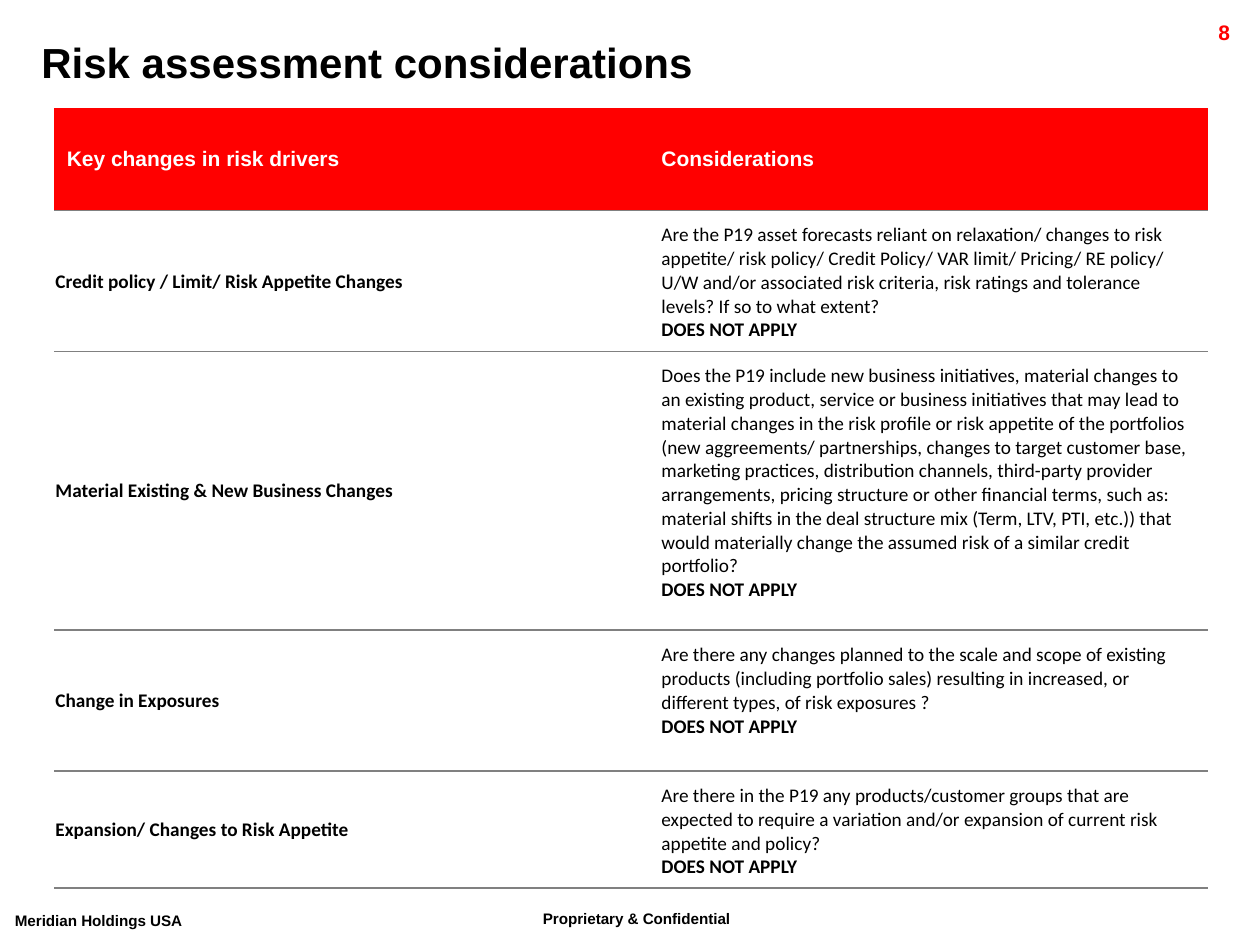
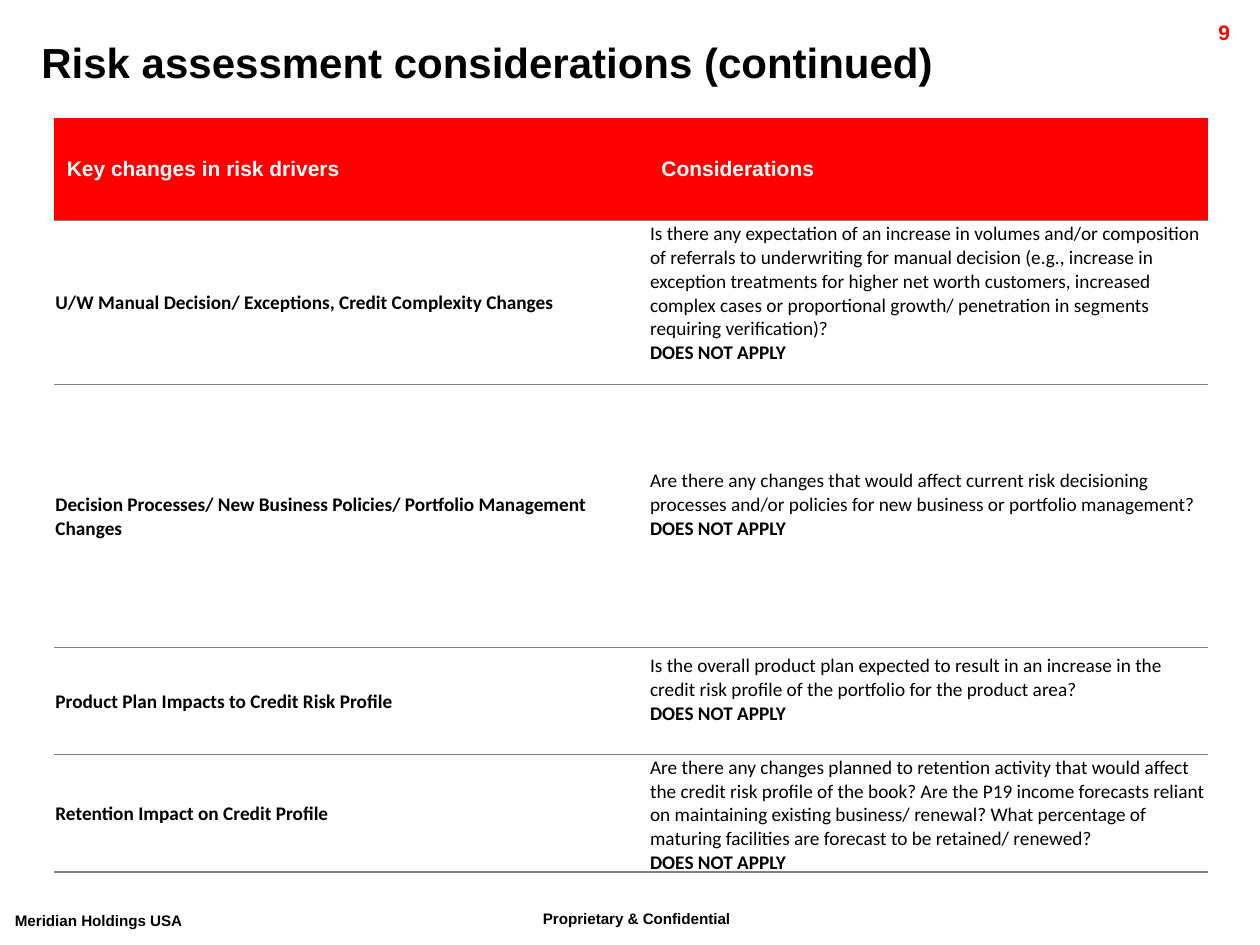
from lxml import etree
from pptx import Presentation
from pptx.dml.color import RGBColor
from pptx.enum import text
from pptx.oxml import ns
from pptx.util import Inches, Pt

COLORS = {"red": "FF0000", "black": "000000", "white": "FFFFFF", "rule": "808080"}
NO_STYLE = "{2D5ABB26-0587-4C30-8999-92F81FD0307C}"
COLUMNS = [4.72, 4.44]
HEADER_HEIGHT = 0.81
HEADINGS = ["Key changes in risk drivers", "Considerations"]
ANSWER = "DOES NOT APPLY"

# Each row: height, bottom margin of the question cell, driver, question
SLIDES = [
    dict(number="8", title="Risk assessment considerations", top=0.86, inset=0.1, rows=[
        (1.12, 0.07, "Credit policy / Limit/ Risk Appetite Changes",
         "Are the P19 asset forecasts reliant on relaxation/ changes to risk appetite/ risk policy/ "
         "Credit Policy/ VAR limit/ Pricing/ RE policy/ U/W and/or associated risk criteria, risk "
         "ratings and tolerance levels? If so to what extent?"),
        (2.21, 0.22, "Material Existing & New Business Changes",
         "Does the P19 include new business initiatives, material changes to an existing product, "
         "service or business initiatives that may lead to material changes in the risk profile or "
         "risk appetite of the portfolios (new aggreements/ partnerships, changes to target customer "
         "base, marketing practices, distribution channels, third-party provider arrangements, "
         "pricing structure or other financial terms, such as: material shifts in the deal structure "
         "mix (Term, LTV, PTI, etc.)) that would materially change the assumed risk of a similar "
         "credit portfolio?"),
        (1.12, 0.25, "Change in Exposures",
         "Are there any changes planned to the scale and scope of existing products (including "
         "portfolio sales) resulting in increased, or different types, of risk exposures ?"),
        (0.93, 0.07, "Expansion/ Changes to Risk Appetite",
         "Are there in the P19 any products/customer groups that are expected to require a variation "
         "and/or expansion of current risk appetite and policy?"),
    ]),
    dict(number="9", title="Risk assessment considerations (continued)", top=0.94, inset=0.01, rows=[
        (1.3, 0.15, "U/W Manual Decision/ Exceptions, Credit Complexity Changes",
         "Is there any expectation of an increase in volumes and/or composition of referrals to "
         "underwriting for manual decision (e.g., increase in exception treatments for higher net "
         "worth customers, increased complex cases or proportional growth/ penetration in segments "
         "requiring verification)?"),
        (2.09, 0.19, "Decision Processes/ New Business Policies/ Portfolio Management Changes",
         "Are there any changes that would affect current risk decisioning processes and/or policies "
         "for new business or portfolio management?"),
        (0.85, 0.19, "Product Plan Impacts to Credit Risk Profile",
         "Is the overall product plan expected to result in an increase in the credit risk profile "
         "of the portfolio for the product area?"),
        (0.93, 0, "Retention Impact on Credit Profile",
         "Are there any changes planned to retention activity that would affect the credit risk "
         "profile of the book? Are the P19 income forecasts reliant on maintaining existing "
         "business/ renewal? What percentage of maturing facilities are forecast to be retained/ "
         "renewed?"),
    ]),
]

# Text shared by all slides: place and format
FOOTERS = [
    ("Proprietary & Confidential", (4.21, 7.14, 2.18, 0.35), True),
    ("Meridian Holdings USA", (0.02, 7.16, 1.91, 0.35), False),
]


def write(p, words, size=11, font="Calibri", color="black", bold=True, raised=False, align=None):
    p.alignment = align
    r = p.add_run()
    r.text = words
    r.font.size = Pt(size)
    r.font.name = font
    r.font.bold = bold
    r.font.color.rgb = RGBColor.from_string(COLORS[color])
    if raised:
        r._r.get_or_add_rPr().set("baseline", "30000")


def add_text(slide, words, box, wrap=True, **style):
    tf = slide.shapes.add_textbox(*map(Inches, box)).text_frame
    tf.word_wrap = wrap
    write(tf.paragraphs[0], words, font="Arial", **style)


prs = Presentation()
prs.slide_width, prs.slide_height = Inches(10), Inches(7.5)

for page in SLIDES:
    slide = prs.slides.add_slide(prs.slide_layouts[6])

    # Footers, page number and title
    for words, box, wrap in FOOTERS:
        add_text(slide, words, box, wrap, size=15, raised=True)
    add_text(slide, page["number"], (8.91, 0.11, 0.95, 0.24), size=12, color="red",
             align=text.PP_ALIGN.RIGHT)
    add_text(slide, page["title"], (0.23, 0.24, 9.82, 0.5), size=24)

    # Table frame
    heights = [HEADER_HEIGHT] + [row[0] for row in page["rows"]]
    table = slide.shapes.add_table(
        len(heights), len(COLUMNS), Inches(0.43), Inches(page["top"]),
        Inches(sum(COLUMNS)), Inches(sum(heights))).table
    table.first_row = table.horz_banding = False
    table._tbl.tblPr.find(ns.qn("a:tableStyleId")).text = NO_STYLE
    for column, width in zip(table.columns, COLUMNS):
        column.width = Inches(width)
    for row, height in zip(table.rows, heights):
        row.height = Inches(height)

    # Header row
    for cell, heading in zip(table.rows[0].cells, HEADINGS):
        write(cell.text_frame.paragraphs[0], heading, size=12, font="Arial", color="white")
        cell.fill.solid()
        cell.fill.fore_color.rgb = RGBColor.from_string(COLORS["red"])

    # Risk drivers and their questions
    for i, (_, bottom, driver, question) in enumerate(page["rows"], 1):
        left, right = table.rows[i].cells
        write(left.text_frame.paragraphs[0], driver)
        write(right.text_frame.paragraphs[0], question, bold=False)
        write(right.text_frame.add_paragraph(), ANSWER)
        for cell, inset, low in ((left, 0.01, 0), (right, page["inset"], bottom)):
            cell.margin_left = cell.margin_right = cell.margin_top = Inches(inset)
            cell.margin_bottom = Inches(low)
            cell.fill.background()

    # Rule under every row
    for cell in table.iter_cells():
        cell.vertical_anchor = text.MSO_ANCHOR.MIDDLE
        ln = etree.Element(ns.qn("a:lnB"), w=str(Pt(1)))
        fill = etree.SubElement(ln, ns.qn("a:solidFill"))
        etree.SubElement(fill, ns.qn("a:srgbClr"), val=COLORS["rule"])
        cell._tc.get_or_add_tcPr().insert(0, ln)

prs.save("out.pptx")
